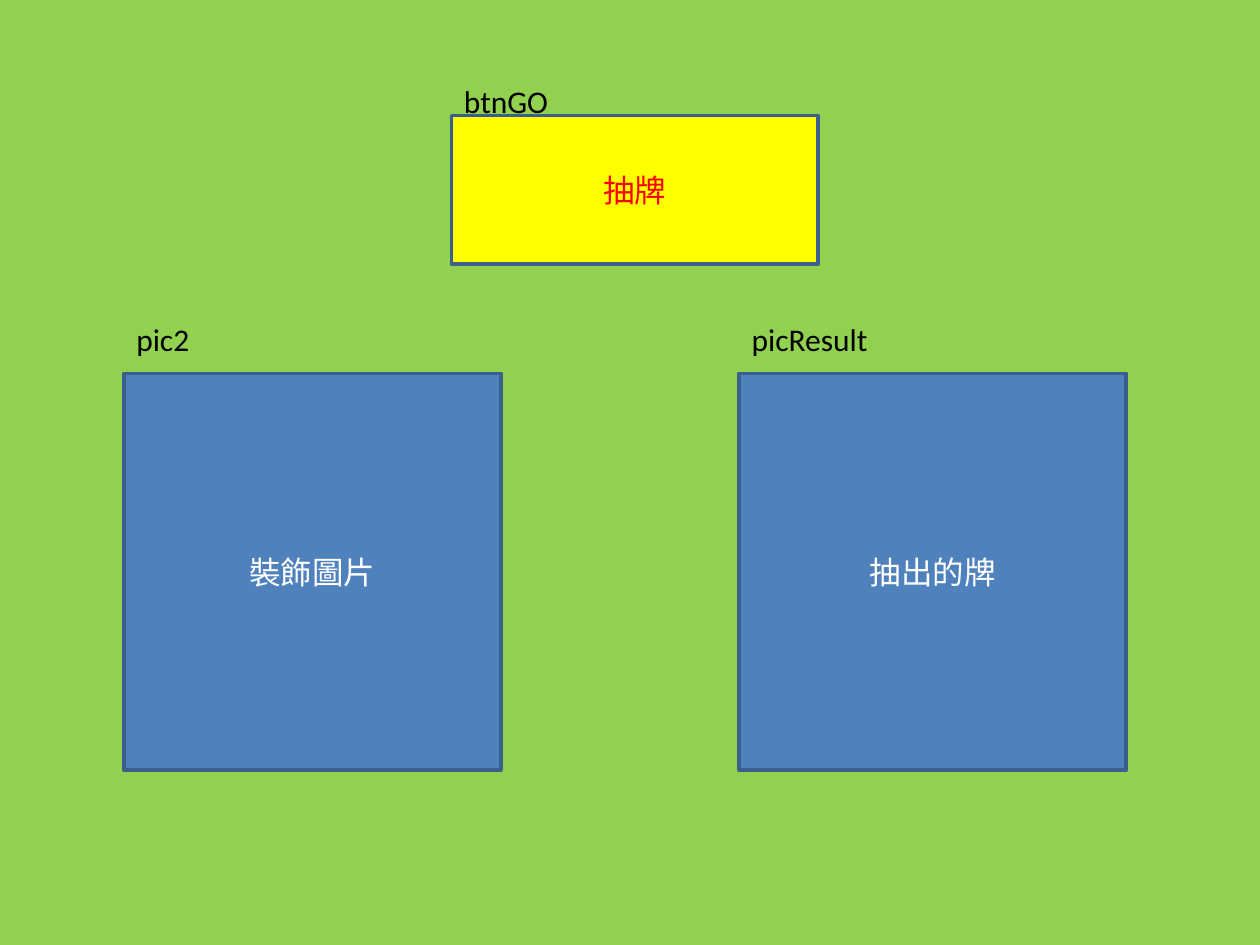
import pptx
import pptx.util
import pptx.dml.color
import pptx.enum.shapes
import pptx.enum.text

Pt = pptx.util.Pt

BACKGROUND = "92D050"
OUTLINE = "3A5F8C"
LABEL_HEIGHT = 29

# label, caption, (left, top, width, height), fill, caption colour, label top, label width
CONTROLS = [
    ("btnGO", "抽牌", (258, 66, 209.5, 85), "FFFF00", "FF0000", 43.2, 209.5),
    ("pic2", "裝飾圖片", (70.8, 213.3, 215.4, 226.8), "4F81BD", "FFFFFF", 179.3, 175.7),
    ("picResult", "抽出的牌", (422.4, 213.3, 221.2, 226.8), "4F81BD", "FFFFFF", 179.3, 175.7),
]


def color(value):
    """Turn a hex string into a colour."""
    return pptx.dml.color.RGBColor.from_string(value)


def write(shape, text, text_color, alignment, anchor):
    """Put one formatted line of text in a shape."""
    frame = shape.text_frame
    frame.word_wrap = True
    frame.vertical_anchor = anchor
    paragraph = frame.paragraphs[0]
    paragraph.text = text
    paragraph.alignment = alignment
    paragraph.font.name = "Calibri"
    paragraph.font.size = Pt(18)
    paragraph.font.color.rgb = color(text_color)


def add_box(slide, caption, bounds, fill, text_color):
    """Draw a control as an outlined rectangle with a centred caption."""
    shape = slide.shapes.add_shape(
        pptx.enum.shapes.MSO_SHAPE.RECTANGLE, *map(Pt, bounds))
    shape.shadow.inherit = False
    shape.fill.solid()
    shape.fill.fore_color.rgb = color(fill)
    shape.line.color.rgb = color(OUTLINE)
    shape.line.width = Pt(2)
    write(shape, caption, text_color, pptx.enum.text.PP_ALIGN.CENTER,
          pptx.enum.text.MSO_ANCHOR.MIDDLE)


def add_label(slide, text, left, top, width):
    """Write the name of a control above its box."""
    label = slide.shapes.add_textbox(Pt(left), Pt(top), Pt(width), Pt(LABEL_HEIGHT))
    write(label, text, "000000", pptx.enum.text.PP_ALIGN.LEFT,
          pptx.enum.text.MSO_ANCHOR.TOP)
    label.text_frame.auto_size = pptx.enum.text.MSO_AUTO_SIZE.SHAPE_TO_FIT_TEXT


presentation = pptx.Presentation()
presentation.slide_width = Pt(720)
presentation.slide_height = Pt(540)
slide = presentation.slides.add_slide(presentation.slide_layouts.get_by_name("Blank"))
slide.background.fill.solid()
slide.background.fill.fore_color.rgb = color(BACKGROUND)

for _, caption, bounds, fill, text_color, _, _ in CONTROLS:
    add_box(slide, caption, bounds, fill, text_color)
for text, _, bounds, _, _, label_top, label_width in CONTROLS:
    add_label(slide, text, bounds[0], label_top, label_width)

presentation.save("out.pptx")
